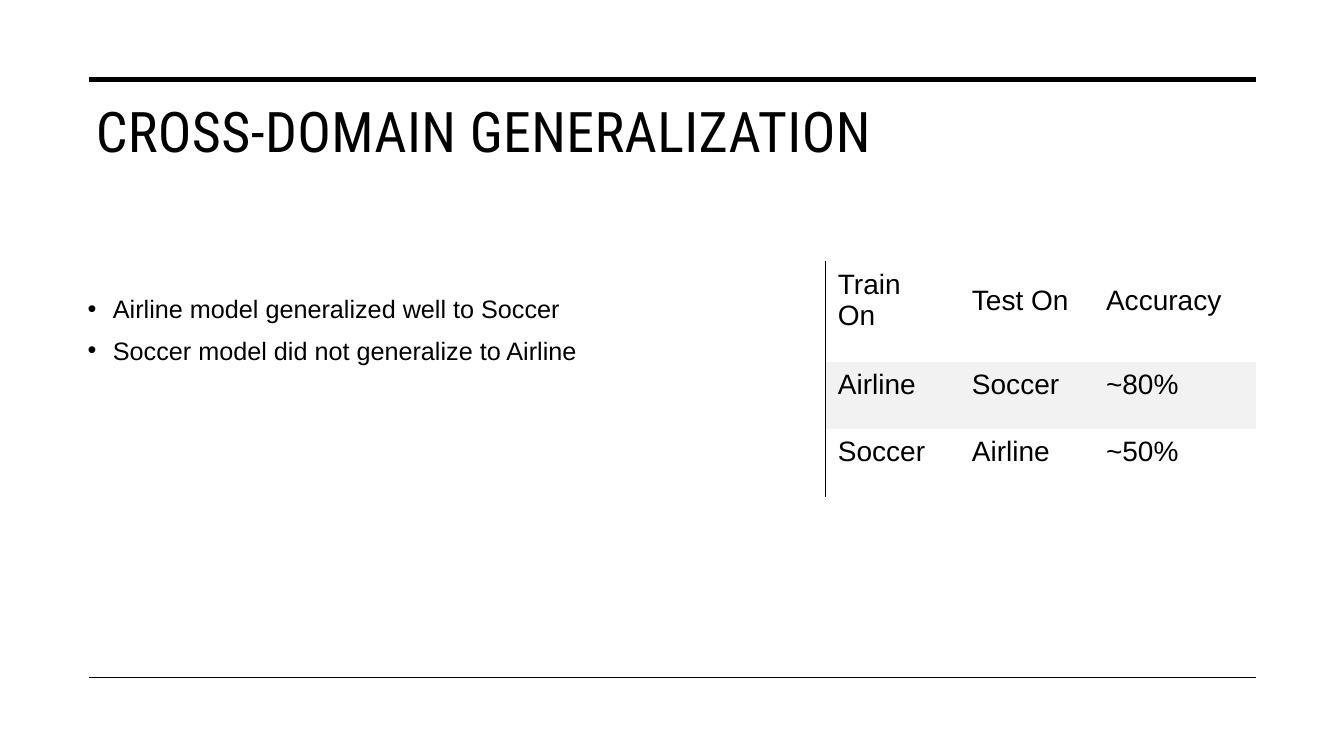
import pptx
import pptx.enum.shapes
import pptx.enum.text
import pptx.oxml
import pptx.oxml.ns
import pptx.util

Inches = pptx.util.Inches
Pt = pptx.util.Pt
qn = pptx.oxml.ns.qn
NS = pptx.oxml.ns.nsdecls("a")
PLAIN = "{2D5ABB26-0587-4C30-8999-92F81FD0307C}"
HUES = {"ink": "000000", "band": "F2F2F2"}


def hue(name):
    return pptx.dml.color.RGBColor.from_string(HUES[name])


def write(para, text, size=18, font="Arial", color="ink", track=0):
    run = para.add_run()
    run.text = text
    run.font.size = Pt(size)
    run.font.name = font
    run.font.color.rgb = hue(color)
    if track:
        run.font._element.set("spc", str(track))


class Deck:
    """Holds the style and the current slide."""

    def __init__(self):
        self.file = pptx.Presentation()
        self.file.slide_width = Inches(13.33)
        self.file.slide_height = Inches(7.5)
        self.slide = self.file.slides.add_slide(self.file.slide_layouts[1])

    def place(self, shape, box):
        shape.left, shape.top, shape.width, shape.height = map(Inches, box)
        frame = shape.text_frame
        frame.word_wrap = True
        frame.auto_size = pptx.enum.text.MSO_AUTO_SIZE.NONE
        frame.vertical_anchor = pptx.enum.text.MSO_ANCHOR.TOP
        return frame

    def title(self, text, box):
        para = self.place(self.slide.shapes.title, box).paragraphs[0]
        para.alignment = pptx.enum.text.PP_ALIGN.LEFT
        write(para, text, size=40, font="Roboto Condensed", track=30)

    def bullets(self, items, box, top):
        frame = self.place(self.slide.placeholders[1], box)
        frame.margin_top = Inches(top)
        for i, item in enumerate(items):
            para = frame.add_paragraph() if i else frame.paragraphs[0]
            para.line_spacing = 1.1
            para.space_before = Pt(0)
            para.space_after = Pt(6)
            props = para._p.get_or_add_pPr()
            props.set("marL", str(Inches(0.25)))
            props.set("indent", str(Inches(-0.25)))
            props.append(pptx.oxml.parse_xml(f'<a:buChar {NS} char="•"/>'))
            write(para, item)

    def rule(self, y, width):
        kind = pptx.enum.shapes.MSO_CONNECTOR.STRAIGHT
        line = self.slide.shapes.add_connector(
            kind, Inches(0.88), Inches(y), Inches(12.46), Inches(y))
        line.line.color.rgb = hue("ink")
        line.line.width = Pt(width)
        line._element.spPr.append(pptx.oxml.parse_xml(f"<a:effectLst {NS}/>"))

    def edge(self, cell):
        cell._tc.get_or_add_tcPr().insert(0, pptx.oxml.parse_xml(
            f'<a:lnL {NS} w="{Pt(0.75)}"><a:solidFill>'
            f'<a:srgbClr val="{HUES["ink"]}"/></a:solidFill></a:lnL>'))

    def table(self, rows, box, widths, heights):
        frame = self.slide.shapes.add_table(
            len(rows), len(widths), *map(Inches, box))
        grid = frame.table
        grid.first_row = grid.horz_banding = False
        frame._element.find(".//" + qn("a:tableStyleId")).text = PLAIN
        for col, width in zip(grid.columns, widths):
            col.width = Inches(width)
        for r, (row, height) in enumerate(zip(rows, heights)):
            grid.rows[r].height = Inches(height)
            for c, text in enumerate(row):
                self.fill(grid.cell(r, c), text, r == 1)
            self.edge(grid.cell(r, 0))

    def fill(self, cell, text, band):
        cell.margin_left, cell.margin_top = Inches(0.12), Inches(0.03)
        cell.margin_right, cell.margin_bottom = Inches(0.16), Inches(0.25)
        cell.vertical_anchor = pptx.enum.text.MSO_ANCHOR.MIDDLE
        if band:
            cell.fill.solid()
            cell.fill.fore_color.rgb = hue("band")
        else:
            cell.fill.background()
        write(cell.text_frame.paragraphs[0], text, size=20)


def main():
    deck = Deck()
    deck.title("CROSS-DOMAIN GENERALIZATION", (0.85, 0.91, 8.28, 1.51))
    deck.rule(0.79, 3.5)
    deck.bullets(["Airline model generalized well to Soccer",
                  "Soccer model did not generalize to Airline"],
                 (0.77, 2.43, 7, 4.09), top=0.45)
    deck.rule(6.72, 1)
    deck.table([("Train On", "Test On", "Accuracy"),
                ("Airline", "Soccer", "~80%"),
                ("Soccer", "Airline", "~50%")],
               (8.19, 2.59, 4.27, 2.35),
               widths=(1.33, 1.33, 1.61), heights=(1, 0.67, 0.67))
    deck.file.save("out.pptx")


if __name__ == "__main__":
    main()
